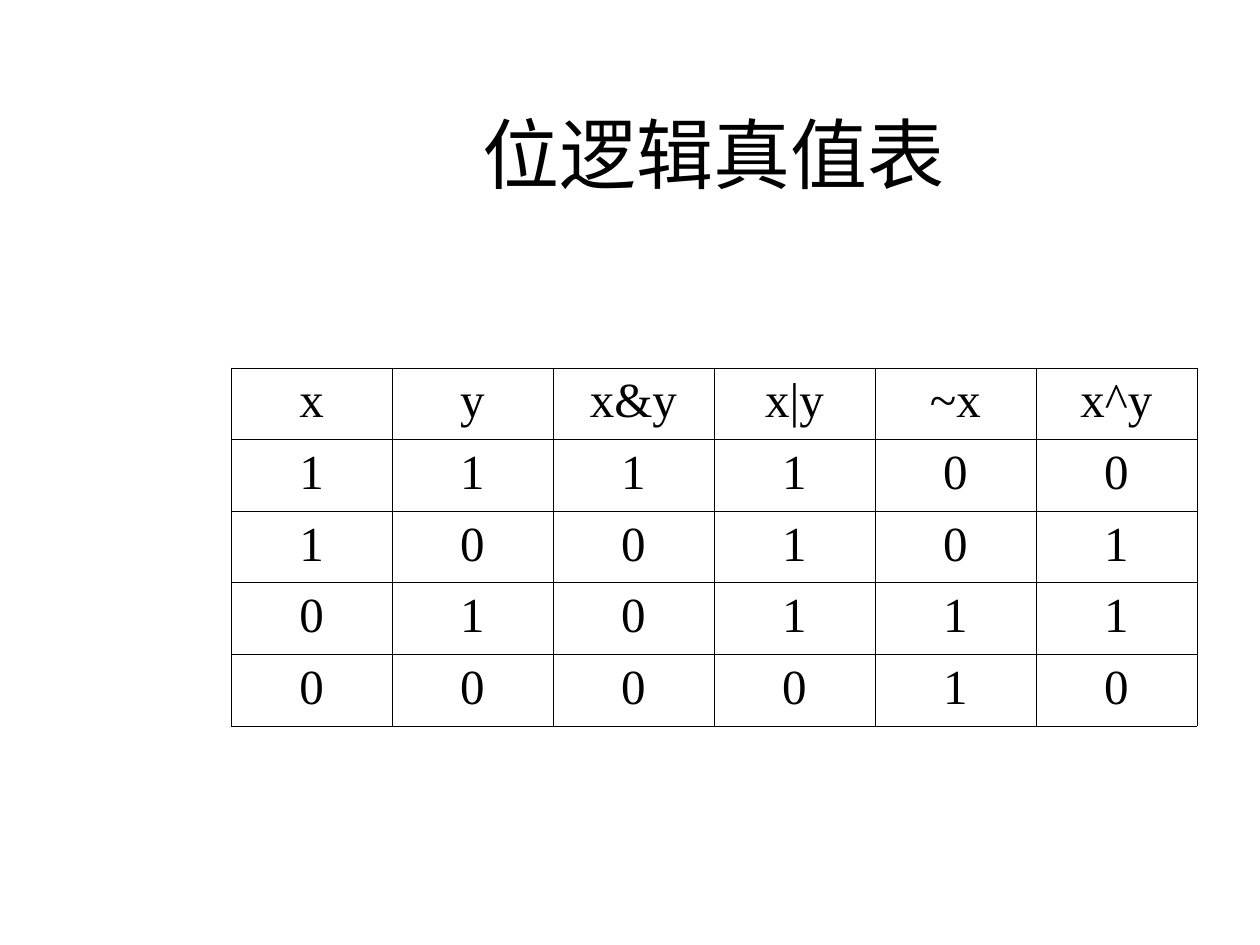
from dataclasses import dataclass

from lxml import etree
from pptx import Presentation
from pptx import util as u
from pptx.dml.color import RGBColor
from pptx.enum import text
from pptx.oxml.ns import qn

# Content
TITLE = "位逻辑真值表"
TRUTH_TABLE = [
    ("x", "y", "x&y", "x|y", "~x", "x^y"),
    ("1", "1", "1", "1", "0", "0"),
    ("1", "0", "0", "1", "0", "1"),
    ("0", "1", "0", "1", "1", "1"),
    ("0", "0", "0", "0", "1", "0"),
]


@dataclass(frozen=True)
class Theme:
    ink: str = "000000"
    title_font: str = "Calibri"
    title_size: int = 44
    table_font: str = "Times New Roman"
    table_size: int = 28
    border: float = 0.45


THEME = Theme()

# Layout in px
SLIDE = (1260, 945)
TITLE_BOX = (231, 63, 966, 179)
TABLE_BOX = (231, 368, 966, 358)


def px(n):
    return u.Emu(round(n * 914400 / 126))


def write(tf, words, font, size):
    p = tf.paragraphs[0]
    p.text = words
    p.alignment = text.PP_ALIGN.CENTER
    p.font.name = font
    p.font.size = u.Pt(size)
    p.font.color.rgb = RGBColor.from_string(THEME.ink)


def add_borders(cell):
    tc_pr = cell._tc.get_or_add_tcPr()
    for i, side in enumerate(("lnL", "lnR", "lnT", "lnB")):
        ln = etree.Element(qn(f"a:{side}"), w=str(u.Pt(THEME.border)))
        fill = etree.SubElement(ln, qn("a:solidFill"))
        etree.SubElement(fill, qn("a:srgbClr"), val=THEME.ink)
        tc_pr.insert(i, ln)


def add_title(s):
    tf = s.shapes.add_textbox(*map(px, TITLE_BOX)).text_frame
    tf.word_wrap = True
    tf.vertical_anchor = text.MSO_ANCHOR.MIDDLE
    write(tf, TITLE, THEME.title_font, THEME.title_size)


def add_truth_table(s):
    rows, cols = len(TRUTH_TABLE), len(TRUTH_TABLE[0])
    # Columns and rows share the box evenly
    table = s.shapes.add_table(rows, cols, *map(px, TABLE_BOX)).table
    table.first_row = table.horz_banding = False
    for r, values in enumerate(TRUTH_TABLE):
        for c, value in enumerate(values):
            cell = table.cell(r, c)
            cell.fill.background()
            add_borders(cell)
            write(cell.text_frame, value, THEME.table_font, THEME.table_size)


def main():
    prs = Presentation()
    prs.slide_width, prs.slide_height = map(px, SLIDE)
    s = prs.slides.add_slide(prs.slide_layouts[6])
    add_title(s)
    add_truth_table(s)
    prs.save("out.pptx")


if __name__ == "__main__":
    main()
